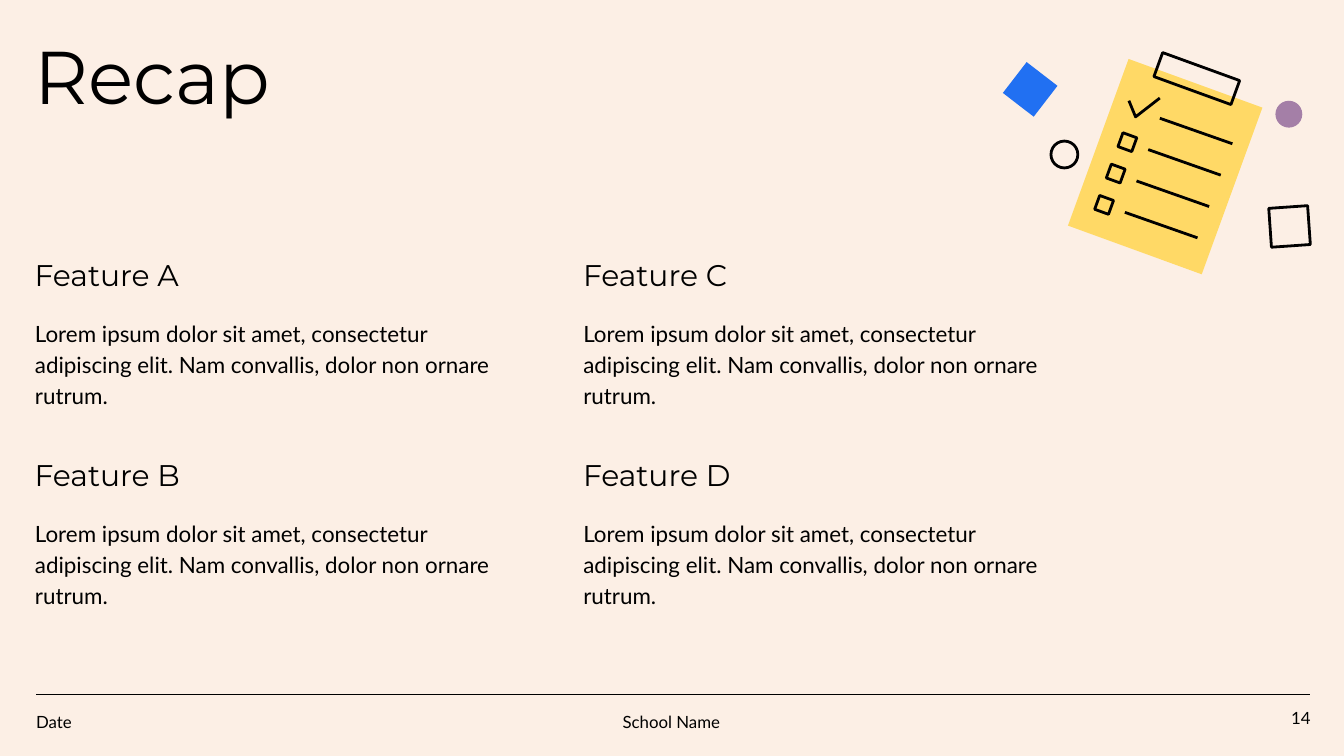
from lxml import etree
from pptx import Presentation
from pptx.dml.color import RGBColor
from pptx.enum.shapes import MSO_CONNECTOR, MSO_SHAPE
from pptx.enum.text import MSO_ANCHOR, MSO_AUTO_SIZE, PP_ALIGN
from pptx.oxml.ns import qn
from pptx.util import Inches, Pt

RECT, OVAL = MSO_SHAPE.RECTANGLE, MSO_SHAPE.OVAL
STRAIGHT = MSO_CONNECTOR.STRAIGHT
TOP, MIDDLE = MSO_ANCHOR.TOP, MSO_ANCHOR.MIDDLE
LEFT, CENTER, RIGHT = PP_ALIGN.LEFT, PP_ALIGN.CENTER, PP_ALIGN.RIGHT
NO_FIT = MSO_AUTO_SIZE.NONE

COLORS = {"bg": "FCEFE5", "ink": "000000", "blue": "2170F2",
          "purple": "A47FA7", "paper": "FFD966"}
HEAD_FONT, BODY_FONT = "Montserrat", "Lato"
LOREM = ("Lorem ipsum dolor sit amet, consectetur adipiscing elit. "
         "Nam convallis, dolor non ornare rutrum.")


def rgb(name):
    """Return the named palette colour."""
    return RGBColor.from_string(COLORS[name])


def set_text(sp, box, text, size, font, align=LEFT, spacing=1.15, after=12, anchor=TOP):
    """Place a text shape in its box and write one unbulleted paragraph."""
    sp.left, sp.top, sp.width, sp.height = (Inches(v) for v in box)
    tf = sp.text_frame
    tf.word_wrap = True
    tf.auto_size = NO_FIT
    tf.vertical_anchor = anchor
    tf.margin_left = tf.margin_right = tf.margin_top = tf.margin_bottom = Inches(0.1)
    p = tf.paragraphs[0]
    p.alignment, p.line_spacing = align, spacing
    p.space_before, p.space_after = Pt(0), Pt(after)
    pPr = p._p.get_or_add_pPr()
    pPr.set("marL", "0")
    pPr.set("indent", "0")
    etree.SubElement(pPr, qn("a:buNone"))
    r = p.add_run()
    r.text = text
    r.font.name, r.font.size, r.font.bold = font, Pt(size), False
    r.font.color.rgb = rgb("ink")


def add_text(s, box, *args, **kwargs):
    """Add a text box with one formatted paragraph."""
    set_text(s.shapes.add_textbox(0, 0, 0, 0), box, *args, **kwargs)


def style(sp, fill=None):
    """Give a shape a plain fill, or a black outline when it has no fill."""
    sp.shadow.inherit = False
    if fill:
        sp.fill.solid()
        sp.fill.fore_color.rgb = rgb(fill)
        sp.line.fill.background()
    else:
        sp.fill.background()
        sp.line.color.rgb = rgb("ink")
        sp.line.width = Pt(1.5)


def add_shape(shapes, kind, box, fill=None, rotation=0):
    """Add a filled or outlined preset shape."""
    sp = shapes.add_shape(kind, *(Inches(v) for v in box))
    sp.rotation = rotation
    style(sp, fill)


def add_line(shapes, x1, y1, x2, y2, width):
    """Add a straight black line."""
    c = shapes.add_connector(STRAIGHT, Inches(x1), Inches(y1), Inches(x2), Inches(y2))
    c.line.color.rgb = rgb("ink")
    c.line.width = Pt(width)
    etree.SubElement(c._element.spPr, qn("a:effectLst"))


def add_feature(s, body, name, x, y, w):
    """Add a feature heading with its description below."""
    set_text(body, (x, y + 0.48, w, 0.8), LOREM, 12, BODY_FONT)
    add_text(s, (x, y, w, 0.34), name, 16, HEAD_FONT)


def add_clipboard(s, x, y):
    """Add the tilted checklist, grouped, from its top left corner."""
    shapes = s.shapes.add_group_shape().shapes
    add_shape(shapes, RECT, (x + 0.14, y + 0.19, 1.06, 1.32), "paper", 20)
    add_shape(shapes, RECT, (x + 0.6, y + 0.1, 0.61, 0.19), rotation=20)
    for i in range(4):
        dx, dy = x - 0.26 * i / 3, y + 0.7 * i / 3
        add_line(shapes, dx + 0.63, dy + 0.49, dx + 1.17, dy + 0.68, 1.5)
        if i:
            add_shape(shapes, RECT, (dx + 0.42, dy + 0.38, 0.11, 0.11), rotation=20)
    fb = shapes.build_freeform(Inches(x + 0.4), Inches(y + 0.36), scale=1.0)
    fb.add_line_segments([(Inches(x + 0.45), Inches(y + 0.48)),
                          (Inches(x + 0.63), Inches(y + 0.34))], close=False)
    style(fb.convert_to_shape())


def add_illustration(s, x, y):
    """Add the clipboard and the loose shapes around it."""
    add_shape(s.shapes, RECT, (x + 0.02, y + 0.13, 0.29, 0.29), "blue", 37.6)
    add_shape(s.shapes, OVAL, (x + 0.32, y + 0.66, 0.2, 0.2))
    add_shape(s.shapes, OVAL, (x + 1.99, y + 0.36, 0.2, 0.2), "purple")
    add_shape(s.shapes, RECT, (x + 1.95, y + 1.15, 0.29, 0.29), rotation=356)
    add_clipboard(s, x + 0.5, y)


def add_footer(s, y):
    """Add the footer rule, date, school name and page number."""
    add_line(s.shapes, 0.27, y, 9.75, y, 0.75)
    add_text(s, (0.17, y, 1.63, 0.34), "Date", 9, BODY_FONT)
    add_text(s, (4.18, y, 1.63, 0.34), "School Name", 9, BODY_FONT, CENTER)
    add_text(s, (9.25, y, 0.6, 0.34), "14", 9, BODY_FONT, RIGHT, 1.0, 0, MIDDLE)


def build_recap(prs):
    """Build the recap slide."""
    s = prs.slides.add_slide(prs.slide_layouts.get_by_name("Comparison"))
    s.background.fill.solid()
    s.background.fill.fore_color.rgb = rgb("bg")
    title, *bodies = s.placeholders
    set_text(title, (0.16, 0.2, 4.93, 0.8), "Recap", 40, HEAD_FONT, spacing=0.9, after=0)
    for i, body in enumerate(bodies):
        col, row = divmod(i, 2)
        add_feature(s, body, f"Feature {'ABCD'[i]}", 0.16 + 4.08 * col, 1.77 + 1.49 * row, 3.74)
    add_illustration(s, 7.5, 0.39)
    add_footer(s, 5.17)


def main():
    """Create the presentation and save it."""
    prs = Presentation()
    prs.slide_width, prs.slide_height = Inches(10), Inches(10 * 9 / 16)
    build_recap(prs)
    prs.save("out.pptx")


if __name__ == "__main__":
    main()
